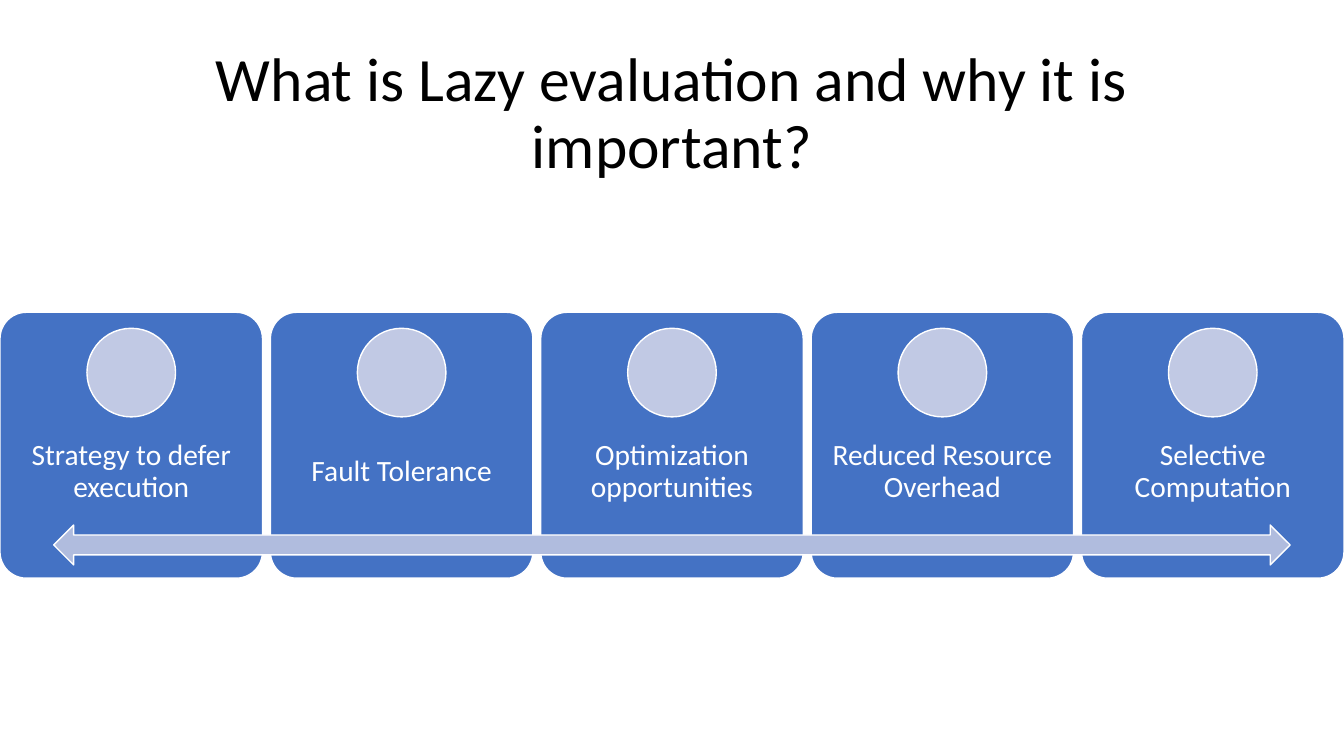
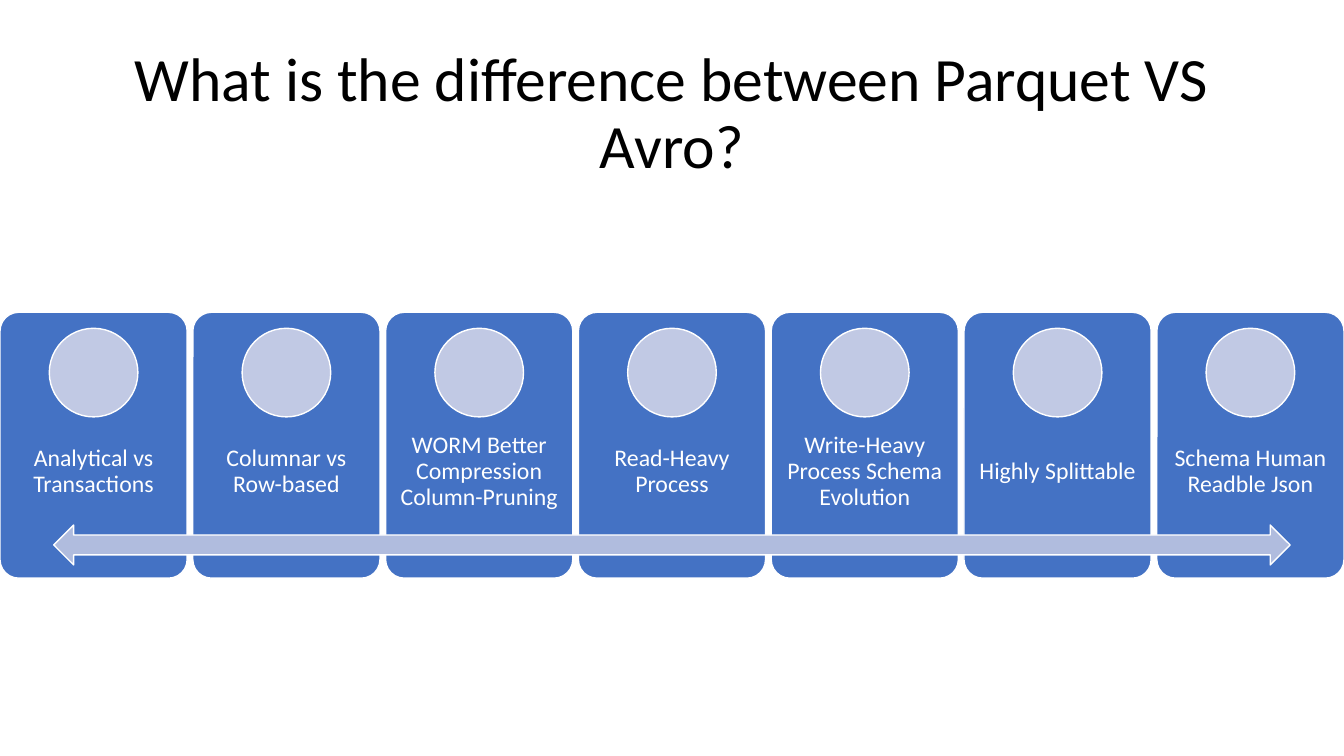
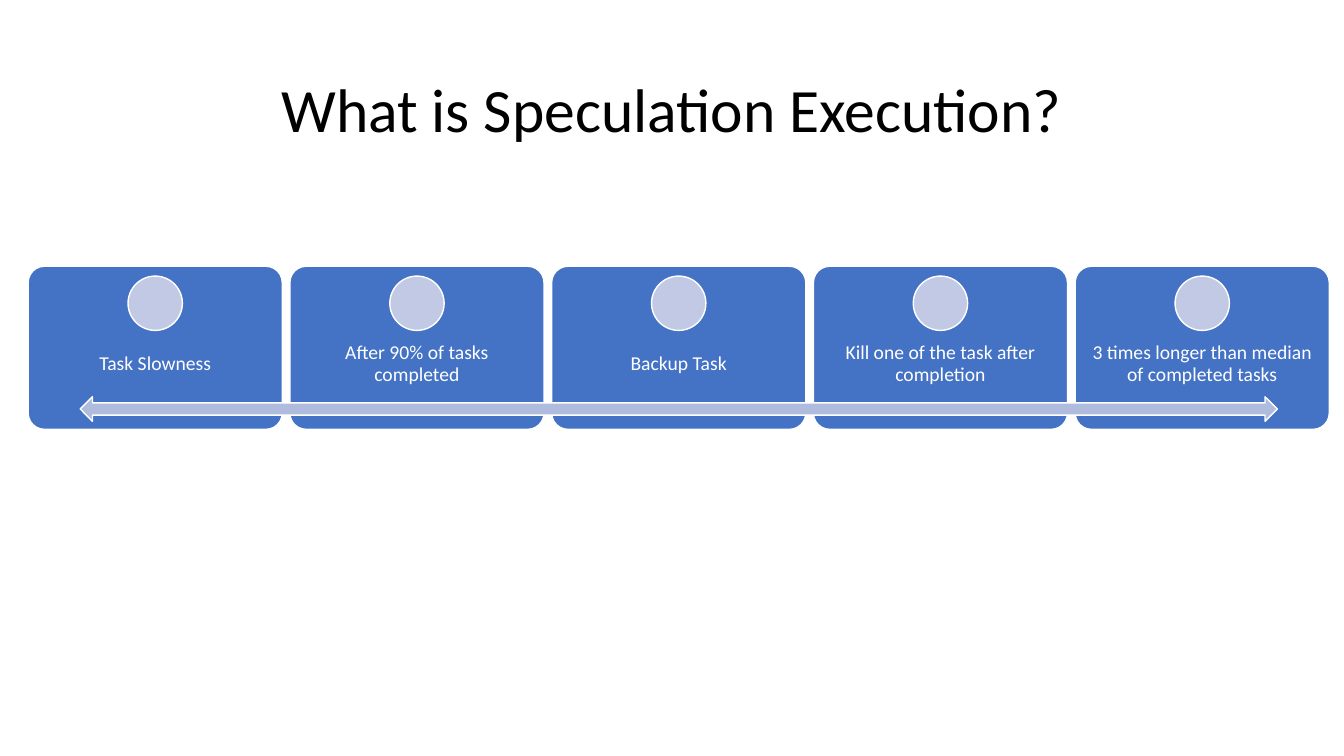
import pptx
import pptx.dml.color
import pptx.enum.shapes
import pptx.enum.text
import pptx.util

Cm = pptx.util.Cm
Pt = pptx.util.Pt
Shape = pptx.enum.shapes.MSO_SHAPE

SLIDE_WIDTH, SLIDE_HEIGHT = 33.87, 19.05
COLOURS = {
    "title": "000000",
    "label": "FFFFFF",
    "outline": "FFFFFF",
    "card": "4472C4",
    "circle": "C1C9E4",
    "arrow": "B0BCDE",
}
FULL_WIDTH_ROW = {"left": 0, "top": 7.87, "width": SLIDE_WIDTH, "height": 6.7}
COMPACT_ROW = {"left": 0.71, "top": 6.71, "width": 32.79, "height": 4.11}

SLIDES = [
    {
        "title": ["What is Lazy evaluation and why it is", "important?"],
        "title_height": 5.79,
        "row": FULL_WIDTH_ROW,
        "size": 21,
        "labels": [
            "Strategy to defer execution",
            "Fault Tolerance",
            "Optimization opportunities",
            "Reduced Resource Overhead",
            "Selective Computation",
        ],
    },
    {
        "title": ["What is the difference between Parquet VS", "Avro?"],
        "title_height": 5.79,
        "row": FULL_WIDTH_ROW,
        "size": 17,
        "labels": [
            "Analytical vs Transactions",
            "Columnar vs Row-based",
            "WORM Better Compression Column-Pruning",
            "Read-Heavy Process",
            "Write-Heavy Process Schema Evolution",
            "Highly Splittable",
            "Schema Human Readble Json",
        ],
    },
    {
        "title": ["What is Speculation Execution?"],
        "title_height": 5.66,
        "row": COMPACT_ROW,
        "size": 14,
        "labels": [
            "Task Slowness",
            "After 90% of tasks completed",
            "Backup Task",
            "Kill one of the task after completion",
            "3 times longer than median of completed tasks",
        ],
    },
]


class Deck:
    """Holds the style and the slide being drawn; lengths are in centimetres."""

    font = "Calibri"
    title_size = 44
    line_spacing = 0.9
    card_gap = 0.03  # share of a card's width
    inset_per_point = 0.02

    def __init__(self):
        self.presentation = pptx.Presentation()
        self.presentation.slide_width = Cm(SLIDE_WIDTH)
        self.presentation.slide_height = Cm(SLIDE_HEIGHT)
        self.slide = None

    def add_slide(self):
        self.slide = self.presentation.slides.add_slide(self.presentation.slide_layouts[6])

    def colour(self, name):
        return pptx.dml.color.RGBColor.from_string(COLOURS[name])

    def shape(self, kind, left, top, width, height, fill):
        shape = self.slide.shapes.add_shape(kind, Cm(left), Cm(top), Cm(width), Cm(height))
        shape.shadow.inherit = False
        shape.fill.solid()
        shape.fill.fore_color.rgb = self.colour(fill)
        shape.line.color.rgb = self.colour("outline")
        shape.line.width = Pt(1)
        return shape

    def text(self, lines, left, top, width, height, size, colour, inset):
        """Centred paragraph whose lines are parted by line breaks."""
        box = self.slide.shapes.add_textbox(Cm(left), Cm(top), Cm(width), Cm(height))
        frame = box.text_frame
        frame.word_wrap = True
        frame.vertical_anchor = pptx.enum.text.MSO_ANCHOR.MIDDLE
        frame.margin_left = frame.margin_right = Cm(inset)
        frame.margin_top = frame.margin_bottom = Cm(inset)
        paragraph = frame.paragraphs[0]
        paragraph.alignment = pptx.enum.text.PP_ALIGN.CENTER
        paragraph.line_spacing = self.line_spacing
        for index, line in enumerate(lines):
            if index:
                paragraph.add_line_break()
            run = paragraph.add_run()
            run.text = line
            run.font.name = self.font
            run.font.size = Pt(size)
            run.font.color.rgb = self.colour(colour)

    def title(self, lines, height):
        self.text(lines, 0, 0, SLIDE_WIDTH, height, self.title_size, "title", 0.25)

    def card(self, label, left, top, width, height, size):
        card = self.shape(Shape.ROUNDED_RECTANGLE, left, top, width, height, "card")
        card.adjustments[0] = 0.1
        self.text([label], left, top + 0.4 * height, width, 0.4 * height,
                  size, "label", size * self.inset_per_point)
        diameter = height / 3
        self.shape(Shape.OVAL, left + (width - diameter) / 2, top + 0.06 * height,
                   diameter, diameter, "circle")

    def card_row(self, labels, size, left, top, width, height):
        """Equal cards across the width, joined by a double arrow."""
        count = len(labels)
        card_width = width / (count + self.card_gap * (count - 1))
        pitch = card_width * (1 + self.card_gap)
        for index, label in enumerate(labels):
            self.card(label, left + index * pitch, top, card_width, height, size)
        self.shape(Shape.LEFT_RIGHT_ARROW, left + 0.04 * width, top + 0.8 * height,
                   0.92 * width, 0.15 * height, "arrow")


def main():
    deck = Deck()
    for content in SLIDES:
        deck.add_slide()
        deck.title(content["title"], content["title_height"])
        deck.card_row(content["labels"], content["size"], **content["row"])
    deck.presentation.save("out.pptx")


if __name__ == "__main__":
    main()
